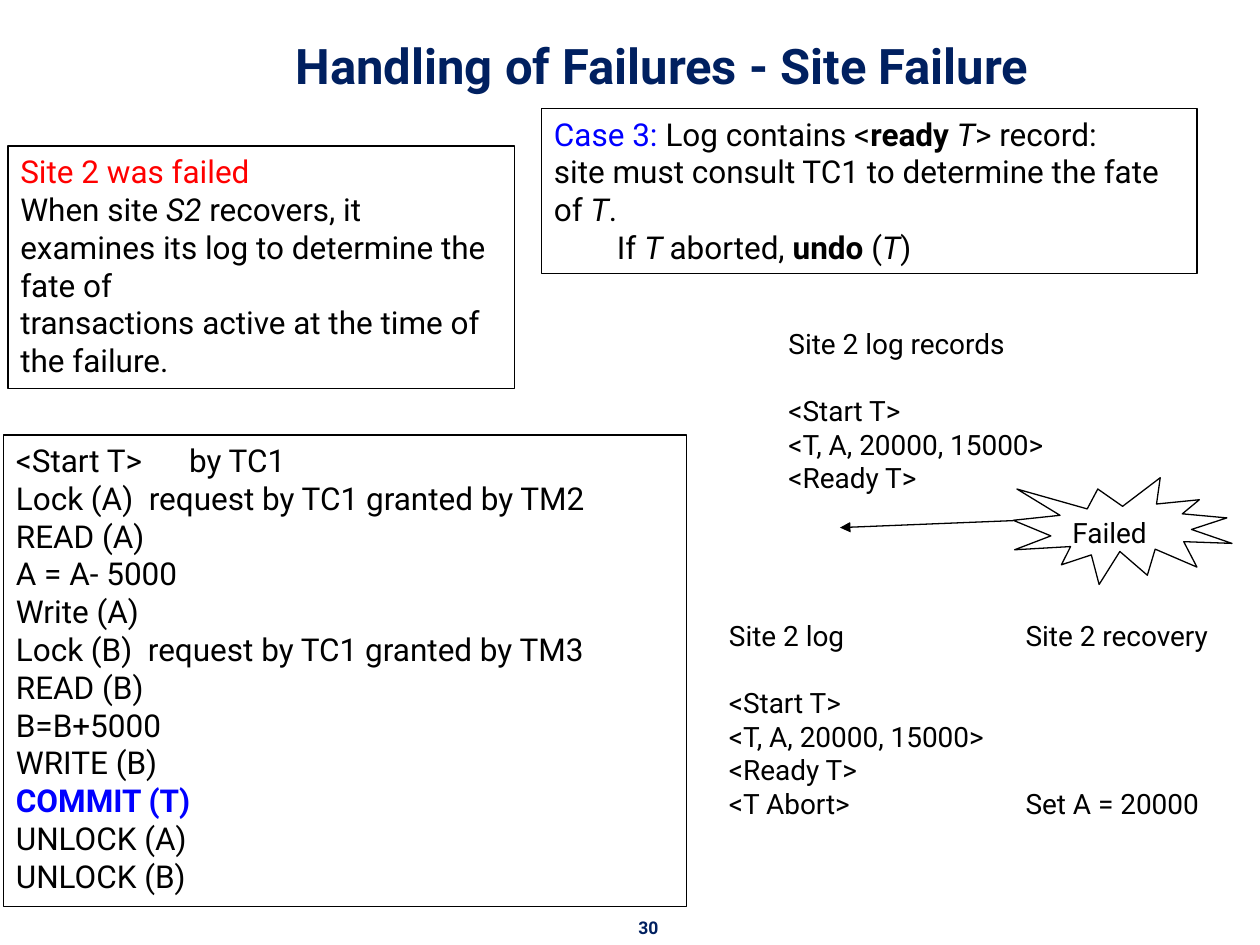
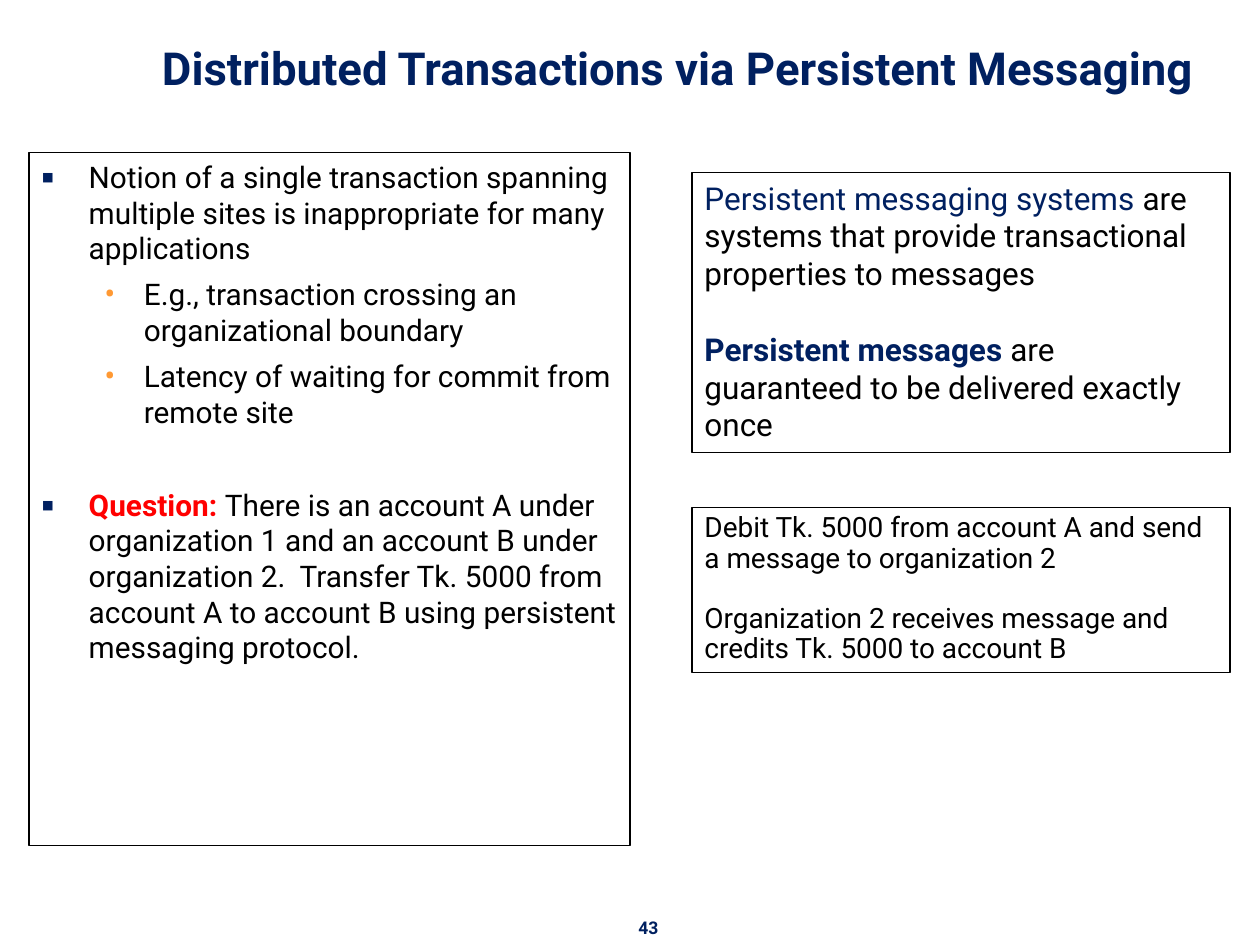
import collections

import lxml.etree
import pptx
import pptx.dml.color
import pptx.enum.dml
import pptx.enum.shapes
import pptx.enum.text
import pptx.oxml.ns
import pptx.util

Pt = pptx.util.Pt
qn = pptx.oxml.ns.qn
SHAPES = pptx.enum.shapes.MSO_SHAPE
ALIGN = pptx.enum.text.PP_ALIGN
ANCHOR = pptx.enum.text.MSO_ANCHOR

COLOURS = {
    "navy": "002060",
    "black": "000000",
    "white": "FFFFFF",
    "red": "FF0000",
    "blue": "0000FF",
    "orange": "FF9933",
}
FONT = "Roboto"
LINE_HEIGHT = 1.2
BORDER = 0.75
TITLE_ONLY, TITLE_AND_CONTENT = 5, 1

Box = collections.namedtuple("Box", "left top width height")
Run = collections.namedtuple("Run", "text colour bold italic",
                             defaults=("black", False, False))
# gap counts the empty lines above the paragraph
Para = collections.namedtuple("Para", "runs gap indent tab", defaults=(0, 0, None))
Bullet = collections.namedtuple("Bullet", "char colour margin hanging")

BULLETS = {
    0: Bullet("▪", "navy", 27, 27),
    1: Bullet("•", "orange", 58.5, 22.5),
}


def rgb(name):
    return pptx.dml.color.RGBColor.from_string(COLOURS[name])


def plain(*lines):
    return [Para([Run(line)]) for line in lines]


def lengths(box):
    return [Pt(value) for value in box]


def place(shape, box):
    shape.left, shape.top, shape.width, shape.height = lengths(box)


def outline(shape):
    shape.line.color.rgb = rgb("black")
    shape.line.width = Pt(BORDER)


def add_runs(paragraph, runs, size):
    for part in runs:
        run = paragraph.add_run()
        run.text = part.text
        run.font.name = FONT
        run.font.size = Pt(size)
        run.font.bold = part.bold
        run.font.italic = part.italic
        run.font.color.rgb = rgb(part.colour)


def paragraphs_for(frame, count):
    """Give the frame's first paragraph and then new ones, count in all."""
    yield frame.paragraphs[0]
    for _ in range(count - 1):
        yield frame.add_paragraph()


def write(frame, content, size, spacing=1.0):
    frame.word_wrap = True
    frame.vertical_anchor = ANCHOR.TOP
    for paragraph, para in zip(paragraphs_for(frame, len(content)), content):
        paragraph.alignment = ALIGN.LEFT
        paragraph.line_spacing = spacing
        paragraph.space_before = Pt(round(para.gap * size * LINE_HEIGHT * spacing, 2))
        properties = paragraph._p.get_or_add_pPr()
        if para.indent:
            properties.set("marL", str(Pt(para.indent)))
        if para.tab:
            stops = lxml.etree.SubElement(properties, qn("a:tabLst"))
            lxml.etree.SubElement(stops, qn("a:tab"), pos=str(Pt(para.tab)), algn="l")
        add_runs(paragraph, para.runs, size)


def add_panel(slide, box, content, size, spacing=1.0):
    panel = slide.shapes.add_shape(SHAPES.RECTANGLE, *lengths(box))
    panel.shadow.inherit = False
    panel.fill.background()
    outline(panel)
    write(panel.text_frame, content, size, spacing)


def add_log(slide, box, content):
    log = slide.shapes.add_textbox(*lengths(box))
    write(log.text_frame, content, 16)


def add_title(slide, box, text, size):
    title = slide.shapes.title
    place(title, box)
    frame = title.text_frame
    frame.auto_size = pptx.enum.text.MSO_AUTO_SIZE.NONE
    frame.vertical_anchor = ANCHOR.BOTTOM
    frame.paragraphs[0].alignment = ALIGN.CENTER
    add_runs(frame.paragraphs[0], [Run(text, "navy", True)], size)


def add_page_number(slide, number):
    footer = slide.shapes.add_textbox(*lengths(Box(357, 520.5, 27, 19.5)))
    footer.text_frame.word_wrap = False
    paragraph = footer.text_frame.paragraphs[0]
    paragraph.alignment = ALIGN.CENTER
    add_runs(paragraph, [Run(str(number), "navy", True)], 10)


def start_slide(deck, layout, title_box, title, title_size, number):
    slide = deck.slides.add_slide(deck.slide_layouts[layout])
    add_title(slide, title_box, title, title_size)
    add_page_number(slide, number)
    return slide


def add_failure(slide, box):
    """Draw the burst at the right of the box and its arrow to the left."""
    burst_left = box.left + 135.5
    burst = slide.shapes.add_shape(
        SHAPES.EXPLOSION1, *lengths(Box(burst_left, box.top + 90, 125, 61)))
    burst.shadow.inherit = False
    burst.fill.solid()
    burst.fill.fore_color.rgb = rgb("white")
    outline(burst)
    write(burst.text_frame, plain("Failed"), 16)

    arrow = slide.shapes.add_connector(
        pptx.enum.shapes.MSO_CONNECTOR.STRAIGHT,
        Pt(burst_left), Pt(box.top + 114.5), Pt(box.left + 36.5), Pt(box.top + 118.5))
    outline(arrow)
    line = arrow.line._get_or_add_ln()
    lxml.etree.SubElement(line, qn("a:tailEnd"), type="triangle")
    lxml.etree.SubElement(arrow._element.spPr, qn("a:effectLst"))


def add_bullet_list(slide, box, items, size):
    """Fill the body placeholder; items are (level, space above, runs)."""
    body = slide.placeholders[1]
    place(body, box)
    outline(body)
    frame = body.text_frame
    frame.auto_size = pptx.enum.text.MSO_AUTO_SIZE.NONE
    for paragraph, (level, space, runs) in zip(paragraphs_for(frame, len(items)), items):
        bullet = BULLETS[level]
        paragraph.level = level
        paragraph.space_before = Pt(space)
        properties = paragraph._p.get_or_add_pPr()
        properties.set("marL", str(Pt(bullet.margin)))
        properties.set("indent", str(-Pt(bullet.hanging)))
        colour = lxml.etree.SubElement(properties, qn("a:buClr"))
        lxml.etree.SubElement(colour, qn("a:srgbClr"), val=COLOURS[bullet.colour])
        lxml.etree.SubElement(properties, qn("a:buSzPct"), val="110000")
        lxml.etree.SubElement(properties, qn("a:buFont"), typeface=FONT)
        lxml.etree.SubElement(properties, qn("a:buChar"), char=bullet.char)
        add_runs(paragraph, runs, size)


def site_failure_slide(deck):
    slide = start_slide(deck, TITLE_ONLY, Box(60.5, 9.5, 635.5, 48),
                        "Handling of Failures - Site Failure", 28, 30)
    add_panel(slide, Box(4.5, 83.5, 289.5, 138.5), [
        Para([Run("Site 2 was failed", "red")]),
        Para([Run("When site "), Run("S2 ", italic=True),
              Run("recovers, it examines its log to determine the fate of")]),
        Para([Run("transactions active at the time of the failure.")]),
    ], 18)
    add_panel(slide, Box(2, 248.5, 390.5, 269.5), [
        Para([Run("<Start T>\tby TC1")], tab=99),
        *plain("Lock (A)  request by TC1 granted by TM2", "READ (A)", "A = A- 5000",
               "Write (A)", "Lock (B)  request by TC1 granted by TM3", "READ (B)",
               "B=B+5000", "WRITE (B)"),
        Para([Run("COMMIT (T)", "blue", True)]),
        *plain("UNLOCK (A)", "UNLOCK (B)"),
    ], 18)

    records = [Para([Run("<Start T>")], gap=1),
               *plain("<T, A, 20000, 15000>", "<Ready T>")]
    failed_log = Box(443.5, 183, 260.5, 181.5)
    add_log(slide, failed_log, plain("Site 2 log records") + records)
    add_failure(slide, failed_log)

    log = Box(409.5, 350, 174, 124)
    add_log(slide, log, plain("Site 2 log") + records + plain("<T Abort>"))
    add_log(slide, log._replace(left=579, width=141),
            plain("Site 2 recovery") + [Para([Run("Set A = 20000")], gap=4)])

    add_panel(slide, Box(309.5, 62, 374.5, 94.5), [
        Para([Run("Case 3: ", "blue"), Run("Log contains <"), Run("ready ", bold=True),
              Run("T", italic=True), Run("> record:")]),
        Para([Run("site must consult TC1 to determine the fate of "),
              Run("T", italic=True), Run(".")]),
        Para([Run("If "), Run("T ", italic=True), Run("aborted, "),
              Run("undo ", bold=True), Run("("), Run("T", italic=True), Run(")")],
             indent=36),
    ], 18)


def persistent_messaging_slide(deck):
    slide = start_slide(deck, TITLE_AND_CONTENT, Box(62, 6.5, 651, 51),
                        "Distributed Transactions via Persistent Messaging", 26, 43)
    add_bullet_list(slide, Box(16.5, 87, 343.5, 396), [
        (0, 0, [Run("Notion of a single transaction spanning multiple sites is "
                    "inappropriate for many applications")]),
        (1, 6, [Run("E.g., transaction crossing an organizational boundary")]),
        (1, 6, [Run("Latency of waiting for commit from remote site")]),
        (0, 32.4, [Run("Question: ", "red", True),
                   Run("There is an account A under organization 1 and an account B "
                       "under organization 2.  Transfer Tk. 5000 from account A to "
                       "account B using persistent messaging protocol.")]),
    ], 17)
    add_panel(slide, Box(395.5, 98.5, 307.5, 160), [
        Para([Run("Persistent messaging systems ", "navy"),
              Run("are systems that provide transactional properties to messages")]),
        Para([Run("Persistent messages", "navy", True),
              Run(" are guaranteed to be delivered exactly once")], gap=1),
    ], 18)
    add_panel(slide, Box(395.5, 290, 307.5, 94.5), [
        Para([Run("Debit Tk. 5000 from account A and send a message to organization 2")]),
        Para([Run("Organization 2 receives message and credits Tk. 5000 to account B")],
             gap=1),
    ], 16, spacing=0.9)


def main():
    deck = pptx.Presentation()
    deck.slide_width, deck.slide_height = Pt(720), Pt(540)
    site_failure_slide(deck)
    persistent_messaging_slide(deck)
    deck.save("out.pptx")


if __name__ == "__main__":
    main()
